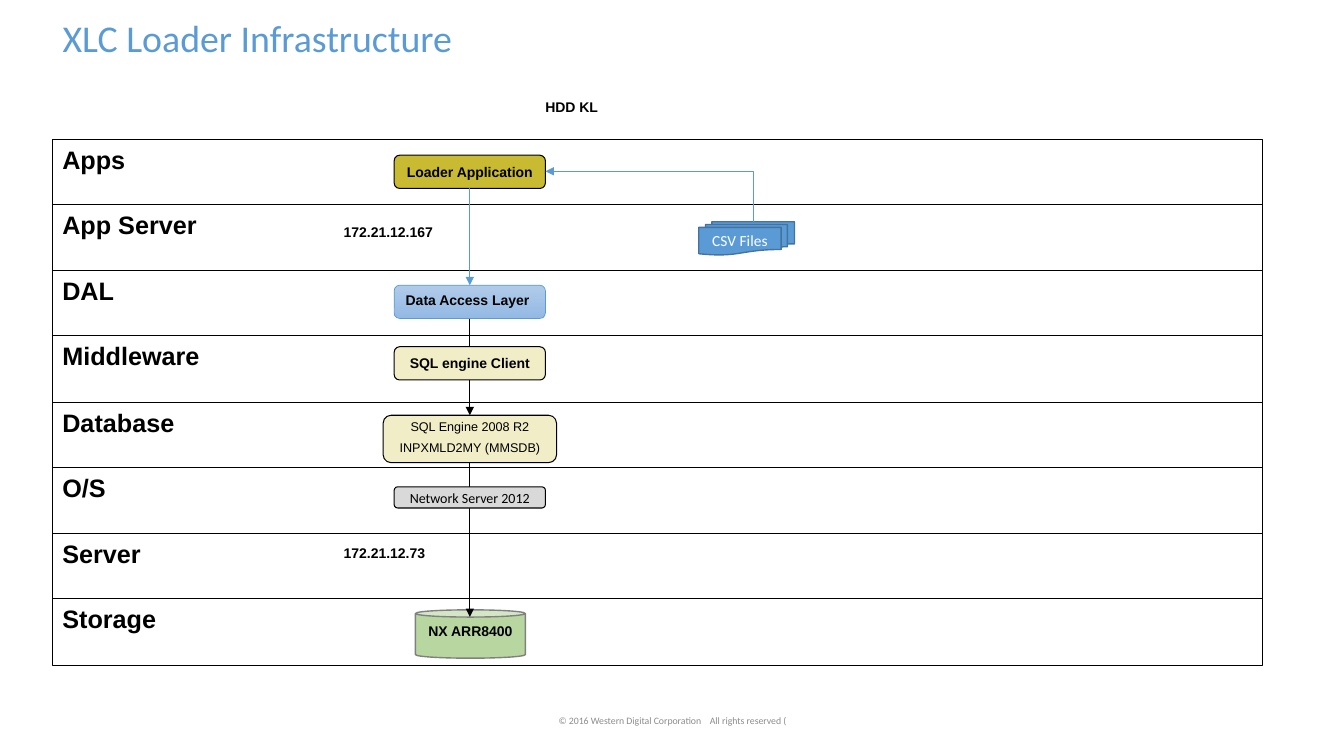
from lxml.etree import SubElement
from pptx import Presentation
from pptx.dml.color import RGBColor
from pptx.enum.shapes import MSO_CONNECTOR, MSO_SHAPE
from pptx.enum.text import MSO_ANCHOR, MSO_AUTO_SIZE, PP_ALIGN
from pptx.oxml.ns import qn
from pptx.util import Emu, Pt

PX = 9144  # 100 px to the inch

BLACK = RGBColor(0x00, 0x00, 0x00)
WHITE = RGBColor(0xFF, 0xFF, 0xFF)
BLUE = RGBColor(0x5B, 0x9B, 0xD5)
DARK_BLUE = RGBColor(0x43, 0x73, 0x9E)
PALE_BLUE = RGBColor(0xB1, 0xCB, 0xE9)
SOFT_BLUE = RGBColor(0x93, 0xB9, 0xE4)
OLIVE = RGBColor(0xC8, 0xBA, 0x31)
CREAM = RGBColor(0xF1, 0xED, 0xC6)
SILVER = RGBColor(0xD9, 0xD9, 0xD9)
GREEN = RGBColor(0xB8, 0xD6, 0xA0)
GREY = RGBColor(0x80, 0x80, 0x80)
FOOTER_GREY = RGBColor(0x8C, 0x8C, 0x8C)

LABEL = {"name": "Arial", "size": Pt(10), "bold": True}
BAND = {"name": "Arial", "size": Pt(18), "bold": True}
DETAIL = {"name": "Arial", "size": Pt(9), "bold": False}
SYSTEM = {"name": "Calibri", "size": Pt(10), "bold": False}
FILES = {"name": "Calibri", "size": Pt(11), "bold": False}
TITLE = {"name": "Calibri", "size": Pt(27), "bold": False}
FOOTER = {"name": "Calibri", "size": Pt(7), "bold": False}

LEFT, CENTER = PP_ALIGN.LEFT, PP_ALIGN.CENTER
TOP, MIDDLE = MSO_ANCHOR.TOP, MSO_ANCHOR.MIDDLE
ROUNDED = MSO_SHAPE.ROUNDED_RECTANGLE


def px(*lengths):
    return [Emu(length * PX) for length in lengths]


class Diagram:
    def __init__(self, presentation):
        self.slide = presentation.slides.add_slide(presentation.slide_layouts[5])
        self.shapes = self.slide.shapes

    def set_text(self, frame, lines, style, color, align, anchor, spacing=None):
        frame.vertical_anchor = anchor
        for number, line in enumerate(lines):
            paragraph = frame.add_paragraph() if number else frame.paragraphs[0]
            paragraph.text = line
            paragraph.alignment = align
            for key, value in style.items():
                setattr(paragraph.font, key, value)
            paragraph.font.color.rgb = color
            if spacing:
                paragraph.line_spacing, paragraph.space_after = spacing["line"], spacing["after"]
                if number:
                    paragraph.space_before = spacing["before"]

    def title(self, text, box):
        title = self.shapes.title
        title.left, title.top, title.width, title.height = px(*box)
        frame = title.text_frame
        frame.word_wrap = True
        frame.auto_size = MSO_AUTO_SIZE.NONE
        # Lift the line above the middle of its frame
        frame.margin_top, frame.margin_bottom = px(0, 39)
        self.set_text(frame, [text], TITLE, BLUE, LEFT, MIDDLE)
        frame.paragraphs[0].line_spacing = 0.9

    def label(self, text, box, style=LABEL, color=BLACK, align=LEFT, anchor=TOP, grow=True):
        frame = self.shapes.add_textbox(*px(*box)).text_frame
        frame.word_wrap = True
        if grow:
            frame.auto_size = MSO_AUTO_SIZE.SHAPE_TO_FIT_TEXT
        self.set_text(frame, [text], style, color, align, anchor)

    def box(self, kind, lines, box, fill=None, line=BLACK, weight=0.75, style=LABEL,
            color=BLACK, align=CENTER, anchor=MIDDLE, wrap=False, spacing=None):
        part = self.shapes.add_shape(kind, *px(*box))
        part.shadow.inherit = False
        if fill is None:
            part.fill.background()
        elif isinstance(fill, list):
            part.fill.gradient()
            part.fill.gradient_angle = 270
            for stop, shade in zip(part.fill.gradient_stops, fill):
                stop.color.rgb = shade
        else:
            part.fill.solid()
            part.fill.fore_color.rgb = fill
        part.line.color.rgb = line
        part.line.width = Pt(weight)
        part.text_frame.word_wrap = wrap
        self.set_text(part.text_frame, lines, style, color, align, anchor, spacing)
        return part

    def finish_arrow(self, arrow, color):
        arrow.line.color.rgb = color
        arrow.line.width = Pt(0.5)
        properties = arrow._element.spPr
        SubElement(properties.find(qn("a:ln")), qn("a:tailEnd"), type="triangle")
        SubElement(properties, qn("a:effectLst"))

    def down_arrow(self, x, start, end, color, source, target=None):
        arrow = self.shapes.add_connector(MSO_CONNECTOR.STRAIGHT, *px(x, start, x, end))
        arrow.begin_connect(source, 2)
        if target is not None:
            arrow.end_connect(target, 0)
        self.finish_arrow(arrow, color)

    def up_left_arrow(self, start, end, color):
        """One bend: up from start, then left to end."""
        (x1, y1), (x2, y2) = start, end
        across, rise = x1 - x2, y1 - y2
        left = (x1 + x2 - rise) // 2
        top = (y1 + y2 - across) // 2
        arrow = self.shapes.add_connector(
            MSO_CONNECTOR.ELBOW, *px(left, top + across, left + rise, top))
        properties = arrow._element.spPr
        properties.find(qn("a:prstGeom")).set("prst", "bentConnector2")
        properties.find(qn("a:xfrm")).set("rot", str(270 * 60000))
        self.finish_arrow(arrow, color)


def main():
    presentation = Presentation()
    presentation.slide_width, presentation.slide_height = px(1333, 750)
    diagram = Diagram(presentation)

    # Layer bands
    layers = ["Apps", "App Server", "DAL", "Middleware", "Database", "O/S", "Server", "Storage"]
    edges = [138 + 522 * i // len(layers) for i in range(len(layers) + 1)]
    for layer, top, bottom in zip(layers, edges, edges[1:]):
        diagram.box(MSO_SHAPE.RECTANGLE, [layer], (52, top, 1200, bottom - top),
                    style=BAND, align=LEFT, anchor=TOP, wrap=True)

    # Title, site and footer
    diagram.title("XLC Loader Infrastructure", (52, 33, 1227, 53))
    diagram.label("HDD KL", (531, 93, 180, 27))
    diagram.label("© 2016 Western Digital Corporation\tAll rights reserved (", (442, 695, 450, 40),
                  FOOTER, FOOTER_GREY, CENTER, MIDDLE, grow=False)

    # Server addresses
    diagram.label("172.21.12.167", (331, 217, 111, 27))
    diagram.label("172.21.12.73", (331, 535, 111, 27))

    # Components and the arrows that run behind later ones
    access_layer = diagram.box(ROUNDED, ["Data Access Layer"], (391, 283, 150, 33),
                               [PALE_BLUE, SOFT_BLUE], BLUE, 0.5, align=LEFT, anchor=TOP)
    database = diagram.box(ROUNDED, ["SQL Engine 2008 R2", "INPXMLD2MY (MMSDB)"],
                           (380, 412, 172, 47), CREAM, style=DETAIL,
                           spacing={"line": Pt(8), "before": Pt(4.5), "after": Pt(1.8)})
    storage = diagram.box(MSO_SHAPE.CAN, ["NX ARR8400"], (412, 605, 109, 48),
                          GREEN, GREY, 1, anchor=TOP, wrap=True)
    storage.adjustments[0] = 0.15
    loader = diagram.box(ROUNDED, ["Loader Application"], (391, 154, 150, 33), OLIVE)
    diagram.down_arrow(466, 459, 612, BLACK, database)
    diagram.box(ROUNDED, ["Network Server 2012"], (391, 483, 150, 21), SILVER, style=SYSTEM)
    diagram.box(MSO_SHAPE.FLOWCHART_MULTIDOCUMENT, ["CSV Files"], (693, 220, 95, 33),
                BLUE, DARK_BLUE, 1, FILES, WHITE, wrap=True)
    diagram.down_arrow(466, 187, 283, BLUE, loader, access_layer)
    diagram.down_arrow(466, 316, 412, BLACK, access_layer, database)
    diagram.box(ROUNDED, ["SQL engine Client"], (391, 344, 150, 33), CREAM)
    diagram.up_left_arrow((747, 220), (541, 170), BLUE)

    presentation.save("out.pptx")


if __name__ == "__main__":
    main()
